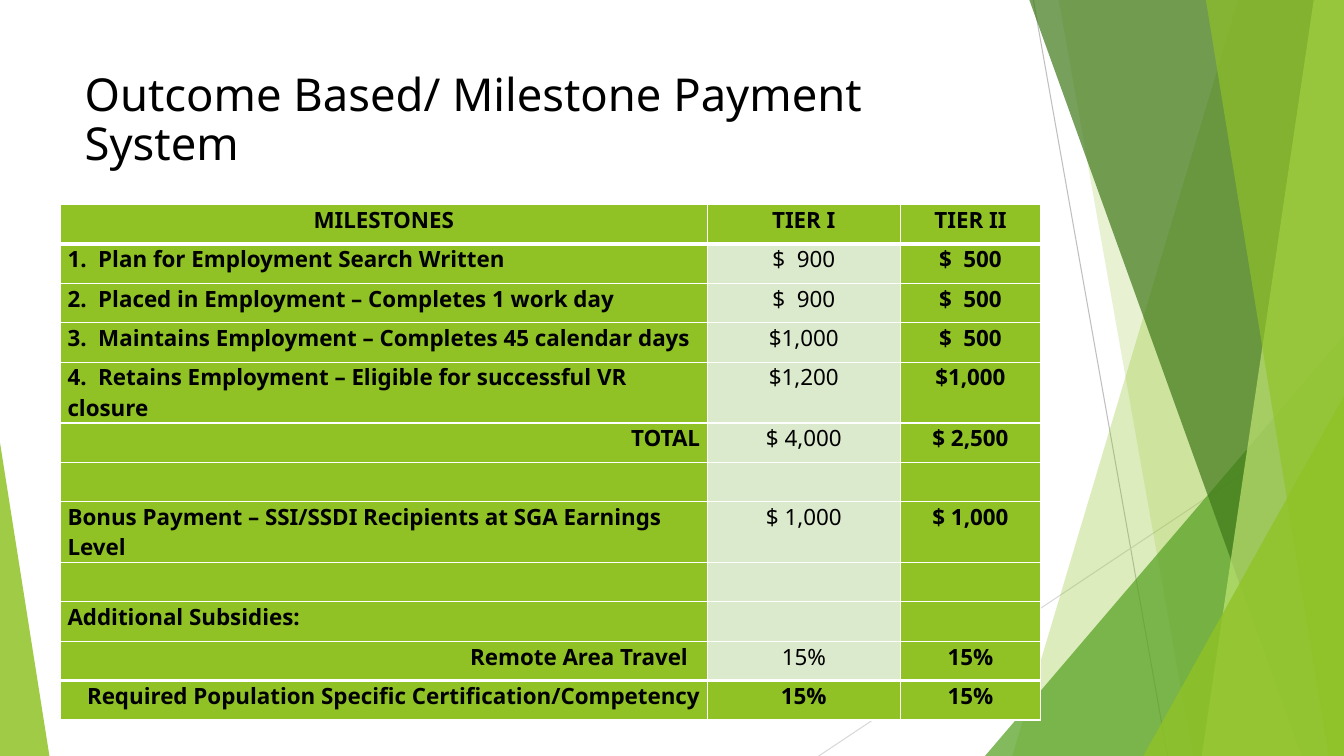
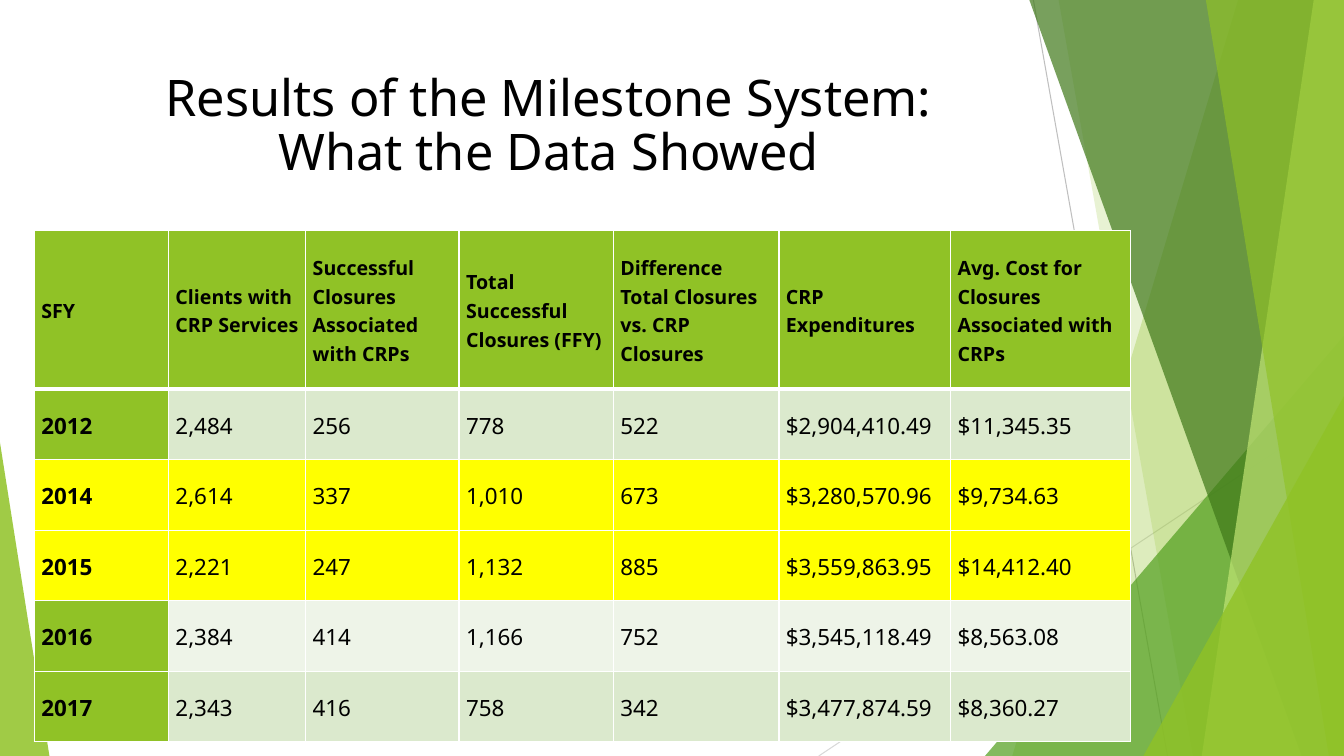
from lxml.etree import SubElement
from pptx import Presentation
from pptx.dml.color import RGBColor
from pptx.enum.shapes import MSO_CONNECTOR as CONN, MSO_SHAPE as SHAPE
from pptx.enum.text import MSO_ANCHOR as ANCHOR, MSO_AUTO_SIZE as FIT, PP_ALIGN as AL
from pptx.oxml.ns import qn
from pptx.util import Inches, Pt

FONT = "Noto Sans"
BLACK, WHITE, YELLOW = "000000", "FFFFFF", "FFFF00"
GREEN, MID, DARK, LIME = "90C226", "54A021", "3F7819", "C0E474"
PALE, PALER = "DBE9CD", "EEF4E8"
TITLE_BOX = (5.55, 8.93, 70.52, 19.2)

prs = Presentation()
prs.slide_width, prs.slide_height = Inches(13.33), Inches(7.5)


def color(value):
    return RGBColor.from_string(value)


def across(share):
    return round(prs.slide_width * share / 100)


def down(share):
    return round(prs.slide_height * share / 100)


def place(box):
    x, y, w, h = box
    return across(x), down(y), across(w), down(h)


def apply(obj, formats):
    for name, value in formats.items():
        setattr(obj, name, value)


def format_run(r, size, bold=False):
    apply(r.font, {"name": FONT, "size": Pt(size), "bold": bold})
    r.font.color.rgb = color(BLACK)


def paint(sp, fill, opacity):
    sp.shadow.inherit = False
    sp.line.fill.background()
    sp.fill.solid()
    sp.fill.fore_color.rgb = color(fill)
    clr = sp.element.xpath("./p:spPr/a:solidFill/a:srgbClr")[0]
    SubElement(clr, qn("a:alpha")).set("val", str(opacity * 1000))


def add_ray(group, start, end, line):
    ray = group.shapes.add_connector(
        CONN.STRAIGHT, across(start[0]), down(start[1]), across(end[0]), down(end[1]))
    ray.line.color.rgb = color(line)
    ray.line.width = Pt(0.75)
    SubElement(ray.element.spPr, qn("a:effectLst"))


def add_facet(group, top, bottom, fill, opacity):
    corners = [(100, 0), (100, 100), (bottom, 100)]
    outline = group.shapes.build_freeform(across(top), 0)
    outline.add_line_segments([(across(x), down(y)) for x, y in corners])
    paint(outline.convert_to_shape(), fill, opacity)


def add_wedge(group, left, top, right, apex, fill, opacity):
    box = place((left, top, right - left, 100 - top))
    sp = group.shapes.add_shape(SHAPE.ISOSCELES_TRIANGLE, *box)
    sp.adjustments[0] = apex
    paint(sp, fill, opacity)


def add_backdrop(s):
    group = s.shapes.add_group_shape()
    add_ray(group, (76.89, 0), (86.87, 100), "BFBFBF")
    add_ray(group, (100, 53.73), (60.92, 100), "D9D9D9")
    add_facet(group, 92.12, 75.32, GREEN, 30)
    add_facet(group, 78.77, 88.75, GREEN, 20)
    add_wedge(group, 73.29, 44.4, 100, 1, MID, 72)
    add_facet(group, 76.59, 96.85, DARK, 70)
    add_facet(group, 97.75, 89.42, LIME, 70)
    add_facet(group, 89.72, 98.87, GREEN, 65)
    add_wedge(group, 85.07, 52.4, 100, 1, GREEN, 80)
    add_wedge(group, 0, 58.53, 3.68, 0, GREEN, 85)


def add_title(s, text, size, align):
    title = s.shapes.title
    title.element.getparent().append(title.element)
    apply(title, dict(zip(("left", "top", "width", "height"), place(TITLE_BOX))))
    tf = title.text_frame
    tf.text = text
    apply(tf, {"word_wrap": True, "auto_size": FIT.NONE, "vertical_anchor": ANCHOR.TOP})
    p = tf.paragraphs[0]
    apply(p, {"alignment": align, "line_spacing": 0.9})
    for r in p.runs:
        format_run(r, size)


def add_slide(text, size, align):
    s = prs.slides.add_slide(prs.slide_layouts[5])
    add_backdrop(s)
    add_title(s, text, size, align)
    return s


def add_borders(cell, top, bottom):
    tc_pr = cell._tc.get_or_add_tcPr()
    for side, width in {"L": 1, "R": 1, "T": top, "B": bottom}.items():
        ln = SubElement(tc_pr, qn("a:ln" + side), w=str(Pt(width)))
        fill = SubElement(ln, qn("a:solidFill"))
        SubElement(fill, qn("a:srgbClr")).set("val", WHITE)


def add_table(s, box, cols, rows, data, style, thick, anchor, spacing):
    x, y, w, h = place(box)
    table = s.shapes.add_table(len(rows), len(cols), x, y, w, h).table
    apply(table, {"first_row": False, "horz_banding": False})
    for col, share in zip(table.columns, cols):
        col.width = round(w * share / sum(cols))
    for row, share in zip(table.rows, rows):
        row.height = round(h * share / sum(rows))
    for i, texts in enumerate(data):
        for j, text in enumerate(texts):
            cell = table.cell(i, j)
            fill, size, bold, align, right = style(i, j)
            add_borders(cell, 3 if i in thick else 1, 3 if i + 1 in thick else 1)
            cell.fill.solid()
            cell.fill.fore_color.rgb = color(fill)
            apply(cell, {"margin_left": Inches(0.07), "margin_right": Inches(right),
                         "margin_top": 0, "margin_bottom": 0, "vertical_anchor": anchor})
            p = cell.text_frame.paragraphs[0]
            apply(p, {"alignment": align, "line_spacing": spacing})
            if text:
                r = p.add_run()
                r.text = text
                format_run(r, size, bold)


MILESTONES = [
    ("MILESTONES", "TIER I", "TIER II"),
    ("1.  Plan for Employment Search Written", "$  900", "$  500"),
    ("2.  Placed in Employment – Completes 1 work day", "$  900", "$  500"),
    ("3.  Maintains Employment – Completes 45 calendar days", "$1,000", "$  500"),
    ("4.  Retains Employment – Eligible for successful VR closure", "$1,200", "$1,000"),
    ("TOTAL", "$ 4,000", "$ 2,500"),
    ("", "", ""),
    ("Bonus Payment – SSI/SSDI Recipients at SGA Earnings Level", "$ 1,000", "$ 1,000"),
    ("", "", ""),
    ("Additional Subsidies:", "", ""),
    ("Remote Area Travel", "15%", "15%"),
    ("Required Population Specific Certification/Competency", "15%", "15%"),
]
RESULTS = [
    ("SFY", "Clients with CRP Services", "Successful Closures Associated with CRPs",
     "Total Successful Closures (FFY)", "Difference Total Closures vs. CRP Closures",
     "CRP Expenditures", "Avg. Cost for Closures Associated with CRPs"),
    ("2012", "2,484", "256", "778", "522", "$2,904,410.49", "$11,345.35"),
    ("2014", "2,614", "337", "1,010", "673", "$3,280,570.96", "$9,734.63"),
    ("2015", "2,221", "247", "1,132", "885", "$3,559,863.95", "$14,412.40"),
    ("2016", "2,384", "414", "1,166", "752", "$3,545,118.49", "$8,563.08"),
    ("2017", "2,343", "416", "758", "342", "$3,477,874.59", "$8,360.27"),
]


def milestone_style(i, j):
    last = len(MILESTONES) - 1
    plain = j == 1 and 0 < i < last
    align = AL.CENTER
    if j == 0 and i > 0:
        align = AL.RIGHT if i in (5, 10, last) else AL.LEFT
    right = 0.19 if (i, j) == (10, 0) else 0.07
    return PALE if plain else GREEN, 16, not plain, align, right


def result_style(i, j):
    head = i == 0 or j == 0
    if i in (2, 3):
        fill = YELLOW
    elif head:
        fill = GREEN
    else:
        fill = PALE if i % 2 else PALER
    return fill, 16 if i else 14, head, AL.LEFT, 0.07


def build_milestones():
    s = add_slide("Outcome Based/ Milestone Payment System", 32.4, AL.LEFT)
    add_table(s, (4.5, 27.07, 72.92, 62.53), (6.42, 1.92, 1.39), [1] * len(MILESTONES),
              MILESTONES, milestone_style, (1, 11), ANCHOR.TOP, 1.0)


def build_results():
    s = add_slide("Results of the Milestone System:\vWhat the Data Showed", 36, AL.CENTER)
    add_table(s, (2.55, 30.53, 81.55, 67.6), (1.33, 1.36, 1.52, 1.53, 1.64, 1.7, 1.78),
              [1.57] + [0.7] * 5, RESULTS, result_style, (1,), ANCHOR.MIDDLE, 1.07)


build_milestones()
build_results()
prs.save("out.pptx")
